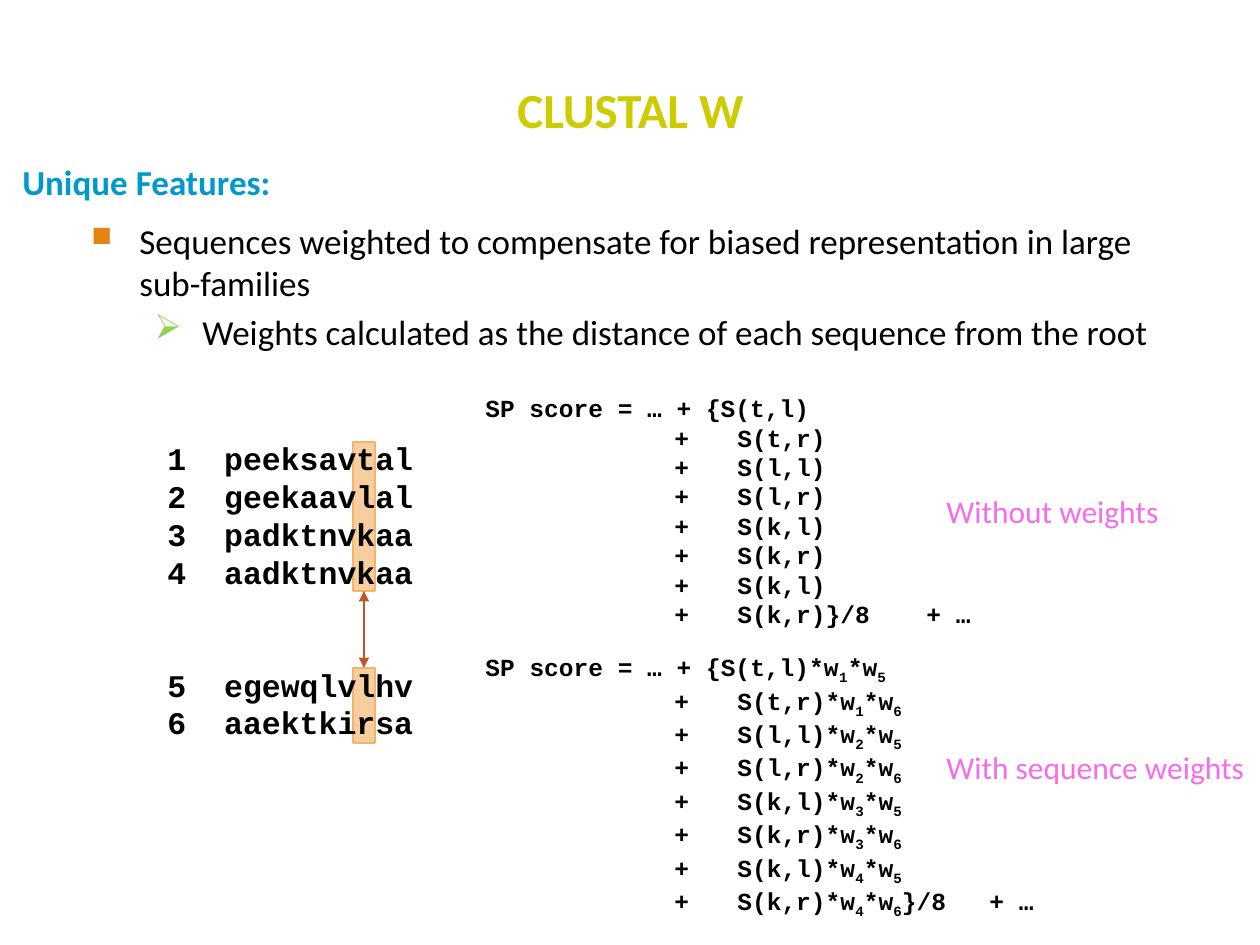
from lxml import etree
from pptx import Presentation
from pptx.dml.color import RGBColor
from pptx.enum import shapes, text
from pptx.oxml.ns import qn
from pptx.util import Pt

PX = 914400 // 126
OLIVE = RGBColor(0xCC, 0xCC, 0x00)
BLUE = RGBColor(0x00, 0x99, 0xCC)
BLACK = RGBColor(0, 0, 0)
PINK = RGBColor(0xF6, 0x6C, 0xE9)
PEACH = RGBColor(0xF7, 0xCE, 0x9D)
ORANGE = RGBColor(0xF3, 0xB5, 0x6C)
RUST = RGBColor(0xBD, 0x58, 0x2C)

prs = Presentation()
prs.slide_width, prs.slide_height = 1260 * PX, 945 * PX
s = prs.slides.add_slide(prs.slide_layouts[6])


def add_text(box, lines, size, color, bold=False, font="Calibri", wrap=False):
    tf = s.shapes.add_textbox(*[v * PX for v in box]).text_frame
    tf.word_wrap = wrap
    for i, line in enumerate(lines):
        p = tf.paragraphs[0] if i == 0 else tf.add_paragraph()
        for j, part in enumerate(line.split("_")):
            for k, piece in enumerate((part[:1], part[1:]) if j else (part,)):
                if piece:
                    r = p.add_run()
                    r.text = piece
                    r.font.size, r.font.bold, r.font.name = Pt(size), bold, font
                    r.font.color.rgb = color
                    if j and k == 0:
                        r.font._element.set("baseline", "-25000")
    return tf


def add_child(parent, tag, **attrs):
    return etree.SubElement(parent, qn(tag), {k: str(v) for k, v in attrs.items()})


title = add_text((95, 67, 1071, 84), ["CLUSTAL W"], 28, OLIVE, True, wrap=True)
title.vertical_anchor = text.MSO_ANCHOR.MIDDLE
title.paragraphs[0].alignment = text.PP_ALIGN.CENTER

features = add_text((79, 213, 1086, 185), [
    "Sequences weighted to compensate for biased representation in large sub-families",
    "Weights calculated as the distance of each sequence from the root",
], 20, BLACK, wrap=True)
bullets = [("■", "E48312", 80, 48), ("➢", "92D050", 100, 111)]
for level, (p, (char, color, percent, margin)) in enumerate(zip(features.paragraphs, bullets)):
    p.level = level
    p.space_before = Pt(4)
    pPr = p._p.get_or_add_pPr()
    pPr.set("marL", str(margin * PX))
    pPr.set("indent", str(-48 * PX))
    add_child(add_child(pPr, "a:buClr"), "a:srgbClr", val=color)
    add_child(pPr, "a:buSzPct", val=percent * 1000)
    add_child(pPr, "a:buChar", char=char)

add_text((10, 154, 276, 55), ["Unique Features:"], 20, BLUE, True)

for top, height in ((668, 75), (442, 149)):
    column = s.shapes.add_shape(shapes.MSO_SHAPE.RECTANGLE,
                                353 * PX, top * PX, 22 * PX, height * PX)
    column.shadow.inherit = False
    column.fill.solid()
    column.fill.fore_color.rgb = PEACH
    column.line.color.rgb = ORANGE
    column.line.width = Pt(1.25)

sequences = ["peeksavtal", "geekaavlal", "padktnvkaa", "aadktnvkaa", "egewqlvlhv", "aaektkirsa"]
alignment = add_text((155, 433, 272, 318),
                     [f"{n}  {seq}" for n, seq in enumerate(sequences, 1)],
                     18, BLACK, True, "Courier New")
alignment.paragraphs[4].space_before = Pt(43)

arrow = s.shapes.add_connector(shapes.MSO_CONNECTOR.STRAIGHT,
                               364 * PX, 591 * PX, 364 * PX, 668 * PX)
arrow.line.color.rgb = RUST
arrow.line.width = Pt(1)
ln = arrow.line._get_or_add_ln()
for end in ("a:headEnd", "a:tailEnd"):
    add_child(ln, end, type="triangle")
add_child(arrow._element.spPr, "a:effectLst")

pairs = ["t,l", "t,r", "l,l", "l,r", "k,l", "k,r", "k,l", "k,r"]
plain = [f"S({pair})" for pair in pairs]
weighted = [f"{term}*w_{1 + i // 2}*w_{5 + i % 2}" for i, term in enumerate(plain)]
scores = [
    ((473, 387, 515, 251), plain, (934, 486, 239, 50), "Without weights"),
    ((473, 646, 614, 251), weighted, (934, 742, 328, 50), "With sequence weights"),
]
for box, terms, label_box, label in scores:
    lines = ["SP score = … + {" + terms[0]] + ["\t\t\t+\t" + term for term in terms[1:]]
    lines[-1] += "}/8\t+ …"
    tf = add_text(box, lines, 14, BLACK, True, "Courier New")
    for p in tf.paragraphs:
        tabs = add_child(p._p.get_or_add_pPr(), "a:tabLst")
        for stop in range(1, 9):
            add_child(tabs, "a:tab", pos=stop * 63 * PX, algn="l")
    add_text(label_box, [label], 18, PINK)

prs.save("out.pptx")
